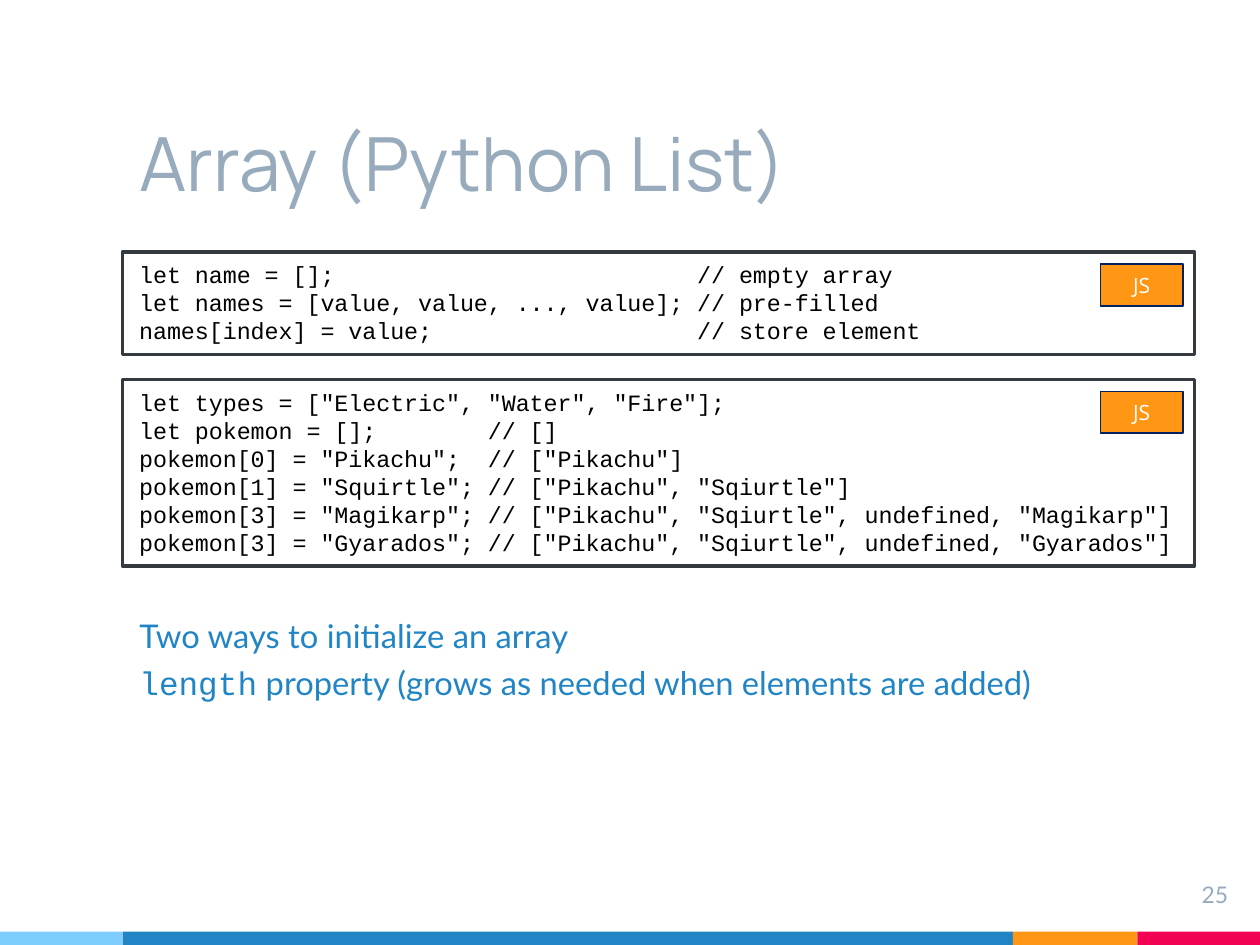
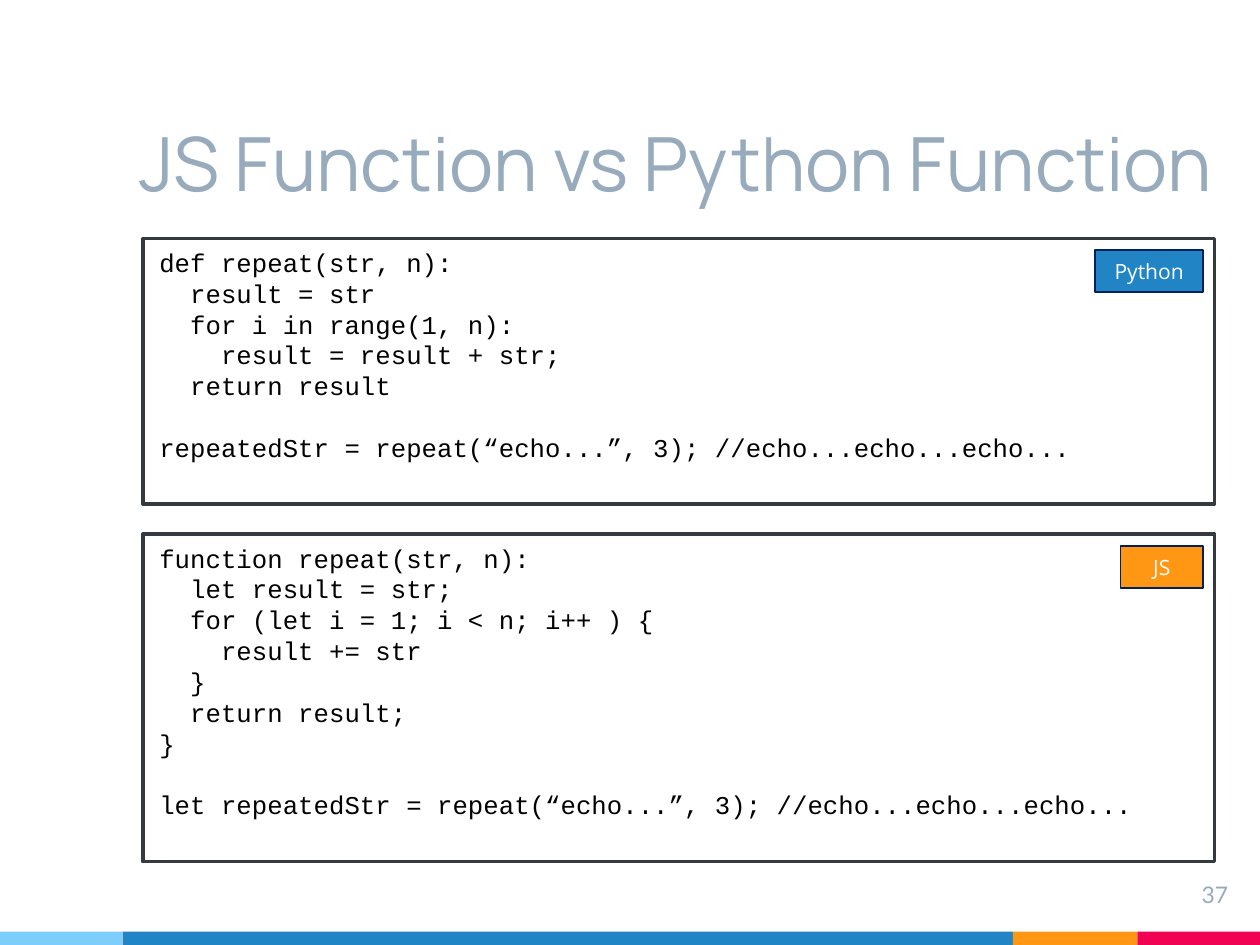
from lxml import etree
from pptx import Presentation
from pptx.dml.color import RGBColor
from pptx.enum.shapes import MSO_SHAPE
from pptx.enum.text import MSO_ANCHOR, MSO_AUTO_SIZE, PP_ALIGN
from pptx.oxml.ns import qn
from pptx.util import Inches, Pt

SKY = RGBColor(0x7E, 0xCE, 0xFD)
BLUE = RGBColor(0x21, 0x85, 0xC5)
ORANGE = RGBColor(0xFF, 0x97, 0x15)
PINK = RGBColor(0xF2, 0x02, 0x53)
GREY_BLUE = RGBColor(0x97, 0xAB, 0xBC)
CHARCOAL = RGBColor(0x34, 0x3A, 0x40)
NAVY = RGBColor(0x00, 0x20, 0x60)
BLACK = RGBColor(0, 0, 0)
WHITE = RGBColor(0xFF, 0xFF, 0xFF)

SLIDE_W = 7.5
SLIDE_H = SLIDE_W * 3 / 4
MARGIN = 0.73
BAND_H = 0.08
BANDS = [(SKY, 0.73), (BLUE, 5.3), (ORANGE, 0.74), (PINK, 0.73)]
CODE_W = 6.38
BADGE_H, BADGE_GAP = 0.25, 0.07
BADGES = {"JS": (ORANGE, 0.49), "Python": (BLUE, 0.64)}

TITLE_FONT = dict(name="Manrope", size=Pt(32))
BODY_FONT = dict(name="Lato", size=Pt(14))
NUMBER_FONT = dict(name="Lato", size=Pt(9.8))
BADGE_FONT = dict(name="Open Sans", size=Pt(9))
CODE_FONT = "Courier New"

SLIDES = [
    dict(
        title="Array (Python List)", title_w=6.22, number="25",
        code_left=0.73, code_size=10,
        code=[
            ("JS", 1.5, 0.61, """\
let name = [];                          // empty array
let names = [value, value, ..., value]; // pre-filled
names[index] = value;                   // store element"""),
            ("JS", 2.26, 1.11, """\
let types = ["Electric", "Water", "Fire"];
let pokemon = [];        // []
pokemon[0] = "Pikachu";  // ["Pikachu"]
pokemon[1] = "Squirtle"; // ["Pikachu", "Sqiurtle"]
pokemon[3] = "Magikarp"; // ["Pikachu", "Sqiurtle", undefined, "Magikarp"]
pokemon[3] = "Gyarados"; // ["Pikachu", "Sqiurtle", undefined, "Gyarados"]"""),
        ],
        notes=[
            [("Two ways to initialize an array", "Lato")],
            [("length", CODE_FONT),
             (" property (grows as needed when elements are added)", "Lato")],
        ],
    ),
    dict(
        title="JS Function vs Python Function", title_w=6.67, number="37",
        code_left=0.85, code_size=11,
        code=[
            ("JS", 3.18, 1.95, """\
function repeat(str, n):
  let result = str;
  for (let i = 1; i < n; i++ ) {
    result += str
  }
  return result;
}

let repeatedStr = repeat(“echo...”, 3); //echo...echo...echo..."""),
            ("Python", 1.42, 1.58, """\
def repeat(str, n):
  result = str
  for i in range(1, n):
    result = result + str;
  return result

repeatedStr = repeat(“echo...”, 3); //echo...echo...echo..."""),
        ],
        notes=[],
    ),
]


def style_font(font, color, values):
    for key, value in values.items():
        setattr(font, key, value)
    font.color.rgb = color


def place(shape, left, top, width, height):
    shape.left, shape.top = Inches(left), Inches(top)
    shape.width, shape.height = Inches(width), Inches(height)


def set_frame(frame, anchor, inset_x=0.1, inset_y=0.1):
    values = dict(
        word_wrap=True, auto_size=MSO_AUTO_SIZE.NONE, vertical_anchor=anchor,
        margin_left=Inches(inset_x), margin_right=Inches(inset_x),
        margin_top=Inches(inset_y), margin_bottom=Inches(inset_y))
    for key, value in values.items():
        setattr(frame, key, value)


def add_rect(slide, at, fill=None, line=None, line_w=0):
    rect = slide.shapes.add_shape(MSO_SHAPE.RECTANGLE, *map(Inches, at))
    rect.shadow.inherit = False
    if fill is None:
        rect.fill.background()
    else:
        rect.fill.solid()
        rect.fill.fore_color.rgb = fill
    if line is None:
        rect.line.fill.background()
    else:
        rect.line.color.rgb = line
        rect.line.width = Pt(line_w)
    return rect


def add_master_bands(prs, slide):
    """Draw the bottom bands on a slide, then move them to the master."""
    left = 0
    for color, width in BANDS:
        band = add_rect(slide, (left, SLIDE_H - BAND_H, width, BAND_H), color)
        prs.slide_master.shapes.element.append(band.element)
        left += width


def set_title(slide, text, width):
    title = slide.shapes.title
    place(title, MARGIN, 0.39, width, 0.94)
    title.text = text
    set_frame(title.text_frame, MSO_ANCHOR.BOTTOM)
    paragraph = title.text_frame.paragraphs[0]
    paragraph.alignment = PP_ALIGN.LEFT
    style_font(paragraph.font, GREY_BLUE, TITLE_FONT)


def set_notes(body, notes):
    place(body, MARGIN, 3.52, 6.22, 1.86)
    frame = body.text_frame
    set_frame(frame, MSO_ANCHOR.TOP)
    for i, parts in enumerate(notes):
        paragraph = frame.add_paragraph() if i else frame.paragraphs[0]
        properties = paragraph._p.get_or_add_pPr()
        properties.set("marL", "0")
        properties.set("indent", "0")
        etree.SubElement(properties, qn("a:buNone"))
        paragraph.line_spacing = 1.2
        paragraph.space_before = Pt(0)
        for text, font_name in parts:
            run = paragraph.add_run()
            run.text = text
            style_font(run.font, BLUE, {**BODY_FONT, "name": font_name})


def add_number(slide, number):
    box = slide.shapes.add_textbox(*map(Inches, (6.96, 5.14, 0.45, 0.34)))
    set_frame(box.text_frame, MSO_ANCHOR.TOP)
    paragraph = box.text_frame.paragraphs[0]
    paragraph.text = number
    paragraph.alignment = PP_ALIGN.RIGHT
    style_font(paragraph.font, GREY_BLUE, NUMBER_FONT)


def fill_code(frame, code, size):
    """Write code lines; an empty line becomes space before the next one."""
    line_height = Pt(1.2 * size)
    gap = 0
    paragraph = frame.paragraphs[0]
    for i, line in enumerate(code.split("\n")):
        if not line:
            gap = line_height
            continue
        if i:
            paragraph = frame.add_paragraph()
        paragraph.text = line
        paragraph.alignment = PP_ALIGN.LEFT
        paragraph.line_spacing = line_height
        if gap:
            paragraph.space_before = gap
            gap = 0
        style_font(paragraph.font, BLACK, dict(name=CODE_FONT, size=Pt(size)))


def add_code(slide, left, size, language, top, height, code):
    panel = add_rect(slide, (left, top, CODE_W, height), None, CHARCOAL, 1.5)
    set_frame(panel.text_frame, MSO_ANCHOR.TOP, inset_y=0.05)
    fill_code(panel.text_frame, code, size)

    color, width = BADGES[language]
    badge_left = left + CODE_W - BADGE_GAP - width
    badge = add_rect(slide, (badge_left, top + BADGE_GAP, width, BADGE_H),
                     color, NAVY, 0.75)
    set_frame(badge.text_frame, MSO_ANCHOR.MIDDLE, inset_x=0.05, inset_y=0.02)
    paragraph = badge.text_frame.paragraphs[0]
    paragraph.text = language
    paragraph.alignment = PP_ALIGN.CENTER
    style_font(paragraph.font, WHITE, BADGE_FONT)


def main():
    prs = Presentation()
    prs.slide_width, prs.slide_height = Inches(SLIDE_W), Inches(SLIDE_H)
    title_and_body, title_only = prs.slide_layouts[1], prs.slide_layouts[5]
    for i, content in enumerate(SLIDES):
        notes = content["notes"]
        slide = prs.slides.add_slide(title_and_body if notes else title_only)
        if i == 0:
            add_master_bands(prs, slide)
        set_title(slide, content["title"], content["title_w"])
        if notes:
            set_notes(slide.placeholders[1], notes)
        add_number(slide, content["number"])
        for panel in content["code"]:
            add_code(slide, content["code_left"], content["code_size"], *panel)
    prs.save("out.pptx")


if __name__ == "__main__":
    main()
